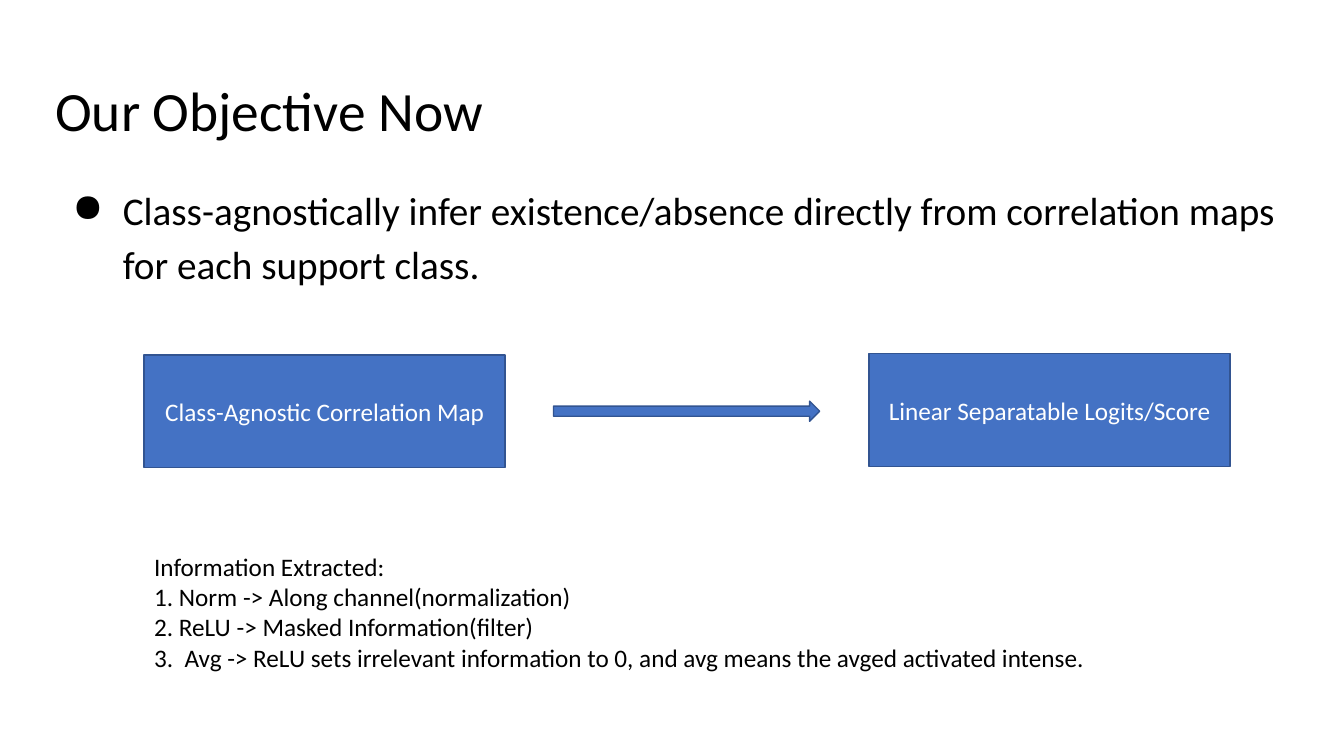
from dataclasses import dataclass

from lxml.etree import SubElement
from pptx import Presentation
from pptx.dml.color import RGBColor
from pptx.enum.shapes import MSO_SHAPE as Preset
from pptx.enum.text import MSO_ANCHOR as Anchor, MSO_AUTO_SIZE as AutoSize, PP_ALIGN as Align
from pptx.oxml.ns import qn
from pptx.util import Emu, Pt

EMU_PER_PX = 9144  # 100 px to the inch
FONT = "Calibri"
COLORS = {"text": "000000", "fill": "4472C4", "line": "325491", "label": "FFFFFF"}


@dataclass(frozen=True)
class Area:
    left: int
    top: int
    width: int
    height: int

    def emu(self) -> list[Emu]:
        return [px(side) for side in (self.left, self.top, self.width, self.height)]


@dataclass(frozen=True)
class TextBlock:
    area: Area
    lines: tuple[str, ...]
    size: float
    inset: tuple[int, int] = (10, 10)
    wrap: bool = True
    bulleted: bool = False


@dataclass(frozen=True)
class FlowPart:
    area: Area
    preset: Preset
    label: str = ""


TEXT_BLOCKS = (
    TextBlock(Area(45, 65, 1242, 84), ("Our Objective Now",), 39.6),
    TextBlock(
        Area(45, 168, 1242, 498),
        ("Class-agnostically infer existence/absence directly from "
         "correlation maps for each support class.",),
        28, bulleted=True,
    ),
    TextBlock(
        Area(143, 542, 955, 131),
        (
            "Information Extracted:",
            "1. Norm -> Along channel(normalization)",
            "2. ReLU -> Masked Information(filter)",
            "3.  Avg -> ReLU sets irrelevant information to 0, "
            "and avg means the avged activated intense.",
        ),
        18, inset=(10, 5), wrap=False,
    ),
)

FLOW_PARTS = (
    FlowPart(Area(143, 352, 358, 112), Preset.RECTANGLE, "Class-Agnostic Correlation Map"),
    FlowPart(Area(862, 351, 358, 112), Preset.RECTANGLE, "Linear Separatable Logits/Score"),
    FlowPart(Area(549, 398, 264, 20), Preset.RIGHT_ARROW),
)


def px(length: int) -> Emu:
    return Emu(length * EMU_PER_PX)


def color(name: str) -> RGBColor:
    return RGBColor.from_string(COLORS[name])


def add_run(para, text: str, size: float, color_name: str) -> None:
    run = para.add_run()
    run.text = text
    run.font.name = FONT
    run.font.size = Pt(size)
    run.font.color.rgb = color(color_name)


def add_bullet(para) -> None:
    properties = para._p.get_or_add_pPr()
    properties.set("marL", str(px(67)))
    properties.set("indent", str(px(-50)))
    SubElement(properties, qn("a:buChar")).set("char", "●")
    para.line_spacing = 1.15


def add_text_block(page, block: TextBlock) -> None:
    frame = page.shapes.add_textbox(*block.area.emu()).text_frame
    frame.word_wrap = block.wrap
    frame.auto_size = AutoSize.NONE if block.wrap else AutoSize.SHAPE_TO_FIT_TEXT
    frame.margin_left = frame.margin_right = px(block.inset[0])
    frame.margin_top = frame.margin_bottom = px(block.inset[1])
    for index, line in enumerate(block.lines):
        para = frame.add_paragraph() if index else frame.paragraphs[0]
        if block.bulleted:
            add_bullet(para)
        add_run(para, line, block.size, "text")


def add_flow_part(page, part: FlowPart) -> None:
    shape = page.shapes.add_shape(part.preset, *part.area.emu())
    shape.shadow.inherit = False
    shape.fill.solid()
    shape.fill.fore_color.rgb = color("fill")
    shape.line.color.rgb = color("line")
    shape.line.width = Pt(1)
    if part.label:
        frame = shape.text_frame
        frame.word_wrap = True
        frame.vertical_anchor = Anchor.MIDDLE
        para = frame.paragraphs[0]
        para.alignment = Align.CENTER
        add_run(para, part.label, 18, "label")


def main() -> None:
    deck = Presentation()
    deck.slide_width, deck.slide_height = px(1333), px(750)
    page = deck.slides.add_slide(deck.slide_layouts[6])

    # Title, objective and notes on the extracted information
    for block in TEXT_BLOCKS:
        add_text_block(page, block)

    # Flow from correlation map to logits
    for part in FLOW_PARTS:
        add_flow_part(page, part)

    deck.save("out.pptx")


if __name__ == "__main__":
    main()
